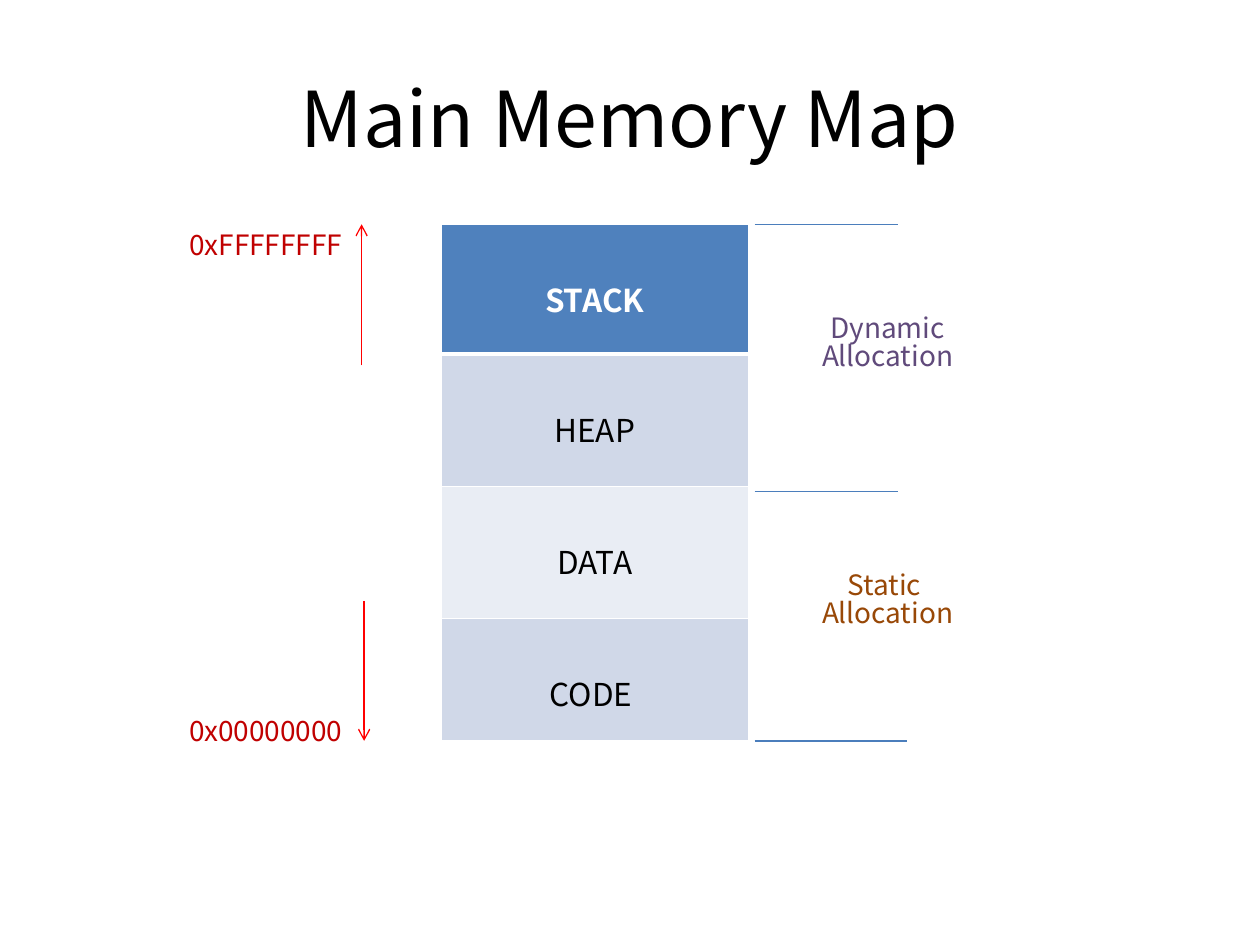
from lxml import etree
from pptx import Presentation
from pptx.dml.color import RGBColor
from pptx.enum.shapes import MSO_CONNECTOR, MSO_SHAPE
from pptx.enum.text import MSO_ANCHOR, PP_ALIGN
from pptx.oxml.ns import qn
from pptx.util import Inches, Pt

STRAIGHT = MSO_CONNECTOR.STRAIGHT
OVAL = MSO_SHAPE.OVAL
MIDDLE = MSO_ANCHOR.MIDDLE
CENTER = PP_ALIGN.CENTER

FONT = "Noto Sans CJK KR"
BLACK = RGBColor(0x00, 0x00, 0x00)
WHITE = RGBColor(0xFF, 0xFF, 0xFF)
BLUE = RGBColor(0x4F, 0x81, 0xBD)
PALE = RGBColor(0xD0, 0xD8, 0xE8)
LIGHT = RGBColor(0xE9, 0xED, 0xF4)
RULE = RGBColor(0x4B, 0x7E, 0xBC)
RED = RGBColor(0xFF, 0x00, 0x00)
CRIMSON = RGBColor(0xC0, 0x00, 0x00)
BROWN = RGBColor(0x98, 0x48, 0x07)
PURPLE = RGBColor(0x60, 0x4A, 0x7B)


def write(frame, lines, size, color, bold=False, gap=None):
    """Fill a text frame with centred lines."""
    frame.word_wrap = True
    frame.vertical_anchor = MIDDLE
    look = {"name": FONT, "size": Pt(size), "bold": bold}
    for i, line in enumerate(lines):
        para = frame.add_paragraph() if i else frame.paragraphs[0]
        para.alignment = CENTER
        para.line_spacing = gap
        run = para.add_run()
        run.text = line
        for key, value in look.items():
            setattr(run.font, key, value)
        run.font.color.rgb = color


def add_text(slide, box, lines, size, color, gap=None):
    shape = slide.shapes.add_textbox(*map(Inches, box))
    write(shape.text_frame, lines, size, color, gap=gap)


def add_line(slide, start, end, color, arrow=False):
    line = slide.shapes.add_connector(STRAIGHT, *map(Inches, start + end))
    line.line.color.rgb = color
    line.line.width = Pt(0.75)
    if arrow:
        ln = line.line._get_or_add_ln()
        etree.SubElement(ln, qn("a:tailEnd"), type="arrow")
    etree.SubElement(line._element.spPr, qn("a:effectLst"))


def add_edge(cell, side, width):
    """Draw one white border of a cell."""
    props = cell._tc.get_or_add_tcPr()
    edge = etree.SubElement(props, qn("a:ln" + side), w=str(Pt(width)))
    fill = etree.SubElement(edge, qn("a:solidFill"))
    etree.SubElement(fill, qn("a:srgbClr"), val=str(WHITE))


def add_map(slide, box):
    """Memory segments, from the highest address down."""
    rows = [
        ("STACK", 1.03, BLUE, WHITE),
        ("HEAP", 1.05, PALE, BLACK),
        ("DATA", 1.05, LIGHT, BLACK),
        ("CODE ", 0.97, PALE, BLACK),
    ]
    table = slide.shapes.add_table(len(rows), 1, *map(Inches, box)).table
    for i, (name, height, fill, color) in enumerate(rows):
        table.rows[i].height = Inches(height)
        cell = table.cell(i, 0)
        write(cell.text_frame, [name], 18, color, bold=i == 0)
        cell.vertical_anchor = MSO_ANCHOR.TOP
        cell.margin_top = Inches(0.41)
        # The header row is closed by a heavier rule
        widths = {"L": 1, "R": 1, "T": 3 if i == 1 else 1, "B": 3 if i == 0 else 1}
        for side, width in widths.items():
            add_edge(cell, side, width)
        cell.fill.solid()
        cell.fill.fore_color.rgb = fill


def add_kinds(slide, box):
    """Allocation kinds, with rules marking their limits."""
    left, top, width, height = box
    for drop, length in ((0, 1.14), (2.12, 1.14), (height, 1.21)):
        y = top + drop
        add_line(slide, (left, y), (left + length, y), RULE)
    labels = [(0.4, "Dynamic", PURPLE), (2.44, "Static ", BROWN)]
    for drop, kind, color in labels:
        area = (left + 0.27, top + drop, width - 0.27, 1.1)
        add_text(slide, area, [kind, "Allocation"], 16, color, gap=0.85)


def add_ends(slide, box):
    """Address labels, with arrows to both ends of the map."""
    left, top, width, height = box
    base = top + height
    ends = [
        ("0xFFFFFFFF", top - 0.47, 2.87, top + 1.12, top),
        ("0x00000000", base - 0.71, 2.89, base - 1.11, base),
    ]
    for name, y, x, start, end in ends:
        add_line(slide, (x, start), (x, end), RED, arrow=True)
        area = (left, y, width, 1.26)
        label = slide.shapes.add_shape(OVAL, *map(Inches, area))
        label.shadow.inherit = False
        label.fill.background()
        label.line.fill.background()
        write(label.text_frame, [name], 16, CRIMSON)


def main():
    deck = Presentation()
    deck.slide_width, deck.slide_height = Inches(10), Inches(7.5)
    slide = deck.slides.add_slide(deck.slide_layouts[6])
    top, height = 1.78, 4.1
    add_text(slide, (0.5, 0.3, 9, 1.25), ["Main Memory Map"], 44, BLACK)
    add_map(slide, (3.5, top, 2.44, height))
    add_kinds(slide, (5.99, top, 1.84, height))
    add_ends(slide, (0.88, top, 2.46, height))
    deck.save("out.pptx")


if __name__ == "__main__":
    main()
